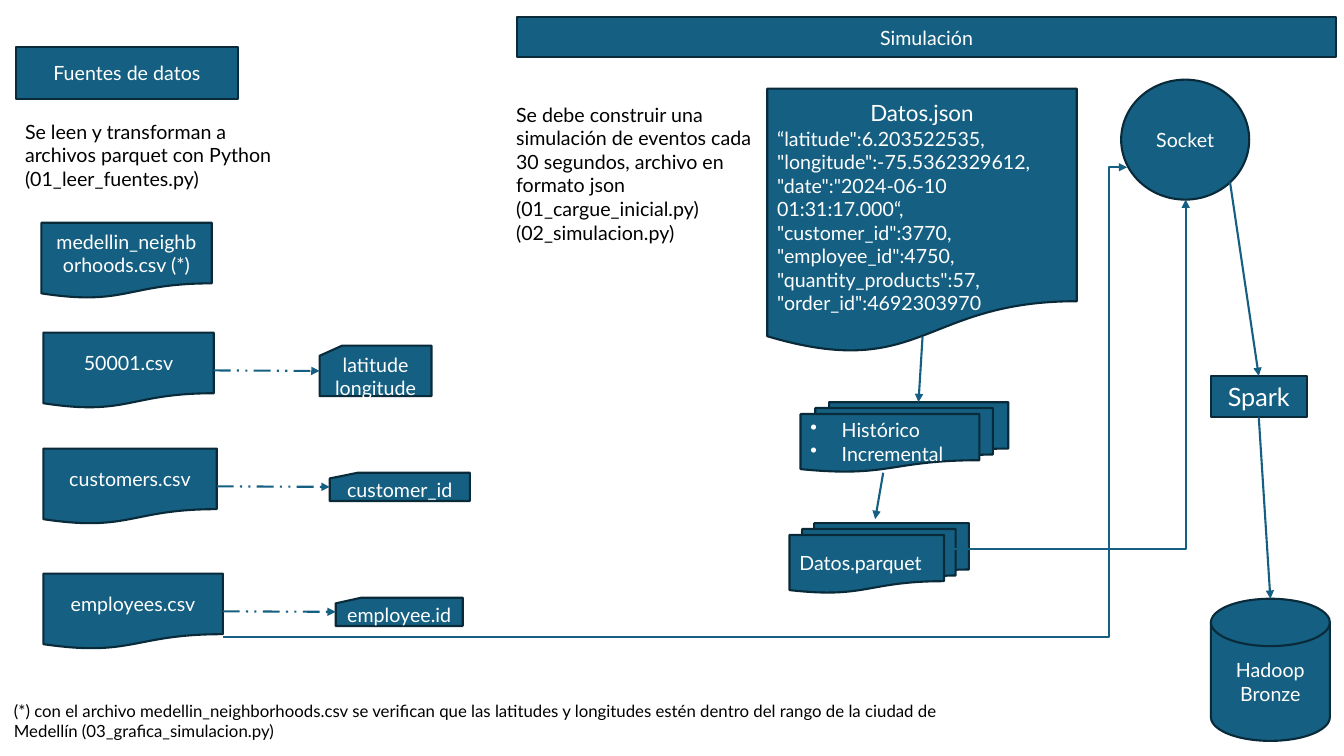
from dataclasses import dataclass

from lxml import etree
from pptx import Presentation
from pptx.dml.color import RGBColor
from pptx.enum import dml, shapes, text
from pptx.oxml import ns
from pptx.util import Inches, Pt

MSO = shapes.MSO_SHAPE
TOP, LEFT, BOTTOM, RIGHT = range(4)


@dataclass(frozen=True)
class Theme:
    font: str = "Lato"
    fill: RGBColor = RGBColor.from_string("156082")
    edge: RGBColor = RGBColor.from_string("092A39")
    light: RGBColor = RGBColor.from_string("FFFFFF")
    dark: RGBColor = RGBColor.from_string("000000")
    note: int = 12
    body: int = 14
    title: int = 16
    large: int = 18
    line: float = 1.5


THEME = Theme()


def write(p, content, size=THEME.body, color=THEME.light, center=False, bullet=False):
    p.alignment = text.PP_ALIGN.CENTER if center else text.PP_ALIGN.LEFT
    r = p.add_run()
    r.text = content
    r.font.name = THEME.font
    r.font.size = Pt(size)
    r.font.color.rgb = color
    if bullet:
        props = p._p.get_or_add_pPr()
        props.set("marL", str(Inches(0.31)))
        props.set("indent", str(-Inches(0.31)))
        etree.SubElement(props, ns.qn("a:buChar"), char="•")


def write_lines(tf, lines, **style):
    for i, line in enumerate(lines):
        write(tf.paragraphs[0] if i == 0 else tf.add_paragraph(), line, **style)


def add_node(s, kind, box, *lines, **style):
    sp = s.shapes.add_shape(kind, *map(Inches, box))
    sp.shadow.inherit = False
    sp.fill.solid()
    sp.fill.fore_color.rgb = THEME.fill
    sp.line.color.rgb = THEME.edge
    sp.line.width = Pt(THEME.line)
    sp.text_frame.vertical_anchor = text.MSO_ANCHOR.MIDDLE
    write_lines(sp.text_frame, lines, **{"center": True, **style})
    return sp


def add_text(s, box, *lines, size=THEME.body):
    tf = s.shapes.add_textbox(*map(Inches, box)).text_frame
    tf.word_wrap = True
    write_lines(tf, lines, size=size, color=THEME.dark)


def add_arrow(s, start, end, begin=None, finish=None, dashed=False,
              kind=shapes.MSO_CONNECTOR.STRAIGHT):
    """Draw an arrow; begin and finish are optional (shape, side) joints."""
    c = s.shapes.add_connector(kind, *map(Inches, (*start, *end)))
    if begin:
        c.begin_connect(*begin)
    if finish:
        c.end_connect(*finish)
    c.line.color.rgb = THEME.fill
    c.line.width = Pt(THEME.line)
    if dashed:
        c.line.dash_style = dml.MSO_LINE.DASH_DOT_DOT
    etree.SubElement(c.line._get_or_add_ln(), ns.qn("a:tailEnd"), type="triangle")
    etree.SubElement(c._element.spPr, ns.qn("a:effectLst"))
    return c


def add_elbow(s, start, end, turn=None):
    """Bend once at a right angle, or twice at the fraction turn of the width."""
    c = add_arrow(s, start, end, kind=shapes.MSO_CONNECTOR.ELBOW)
    geom = c._element.spPr.find(ns.qn("a:prstGeom"))
    if turn is None:
        geom.set("prst", "bentConnector2")
    else:
        guides = geom.find(ns.qn("a:avLst"))
        etree.SubElement(guides, ns.qn("a:gd"), name="adj1",
                         fmla=f"val {round(turn * 100000)}")


def add_sources(s):
    add_node(s, MSO.FLOWCHART_PROCESS, (0.16, 0.47, 2.2, 0.51), "Fuentes de datos")
    add_text(s, (0.15, 1.14, 2.7, 1.04),
             "Se leen y transforman a archivos parquet con Python (01_leer_fuentes.py)")
    add_node(s, MSO.FLOWCHART_DOCUMENT, (0.41, 2.21, 1.69, 0.75),
             "medellin_neighborhoods.csv (*)")
    files = [
        ("50001.csv", 3.3, 1.69, "latitude longitude", (3.17, 3.43, 1.11, 0.5)),
        ("customers.csv", 4.45, 1.72, "customer_id", (3.27, 4.69, 1.39, 0.28)),
        ("employees.csv", 5.69, 1.78, "employee.id", (3.33, 5.93, 1.26, 0.28)),
    ]
    for name, top, width, field, field_box in files:
        source = add_node(s, MSO.FLOWCHART_DOCUMENT, (0.43, top, width, 0.75), name)
        card = add_node(s, MSO.FLOWCHART_CARD, field_box, field)
        middle = top + 0.38
        add_arrow(s, (0.43 + width, middle), (field_box[0], middle),
                  begin=(source, RIGHT), finish=(card, LEFT), dashed=True)
    add_text(s, (0.04, 6.9, 9.96, 0.5),
             "(*) con el archivo medellin_neighborhoods.csv se verifican que las latitudes y "
             "longitudes estén dentro del rango de la ciudad de Medellín "
             "(03_grafica_simulacion.py)", size=THEME.note)


def add_simulation(s):
    add_node(s, MSO.FLOWCHART_PROCESS, (5.13, 0.17, 8.12, 0.4), "Simulación")
    add_text(s, (5.02, 0.97, 2.55, 1.51),
             "Se debe construir una simulación de eventos cada 30 segundos, "
             "archivo en formato json",
             "(01_cargue_inicial.py)", "(02_simulacion.py)")
    event = add_node(s, MSO.FLOWCHART_DOCUMENT, (7.61, 0.88, 3.07, 2.63),
                     "Datos.json", size=THEME.title)
    event.text_frame.margin_top = Inches(0.29)
    for field in ('“latitude":6.203522535,', '"longitude":-75.5362329612,',
                  '"date":"2024-06-10 01:31:17.000“,', '"customer_id":3770,',
                  '"employee_id":4750,', '"quantity_products":57,',
                  '"order_id":4692303970'):
        write(event.text_frame.add_paragraph(), field)
    add_node(s, MSO.FLOWCHART_MULTIDOCUMENT, (7.94, 3.99, 2.06, 0.69),
             "Histórico", "Incremental", center=False, bullet=True)
    add_node(s, MSO.FLOWCHART_MULTIDOCUMENT, (7.83, 5.19, 1.78, 0.69),
             "Datos.parquet", center=False)
    add_arrow(s, (9.15, 3.34), (9.11, 3.99))
    add_arrow(s, (8.76, 4.69), (8.68, 5.15))


def add_streaming(s):
    add_node(s, MSO.FLOWCHART_CONNECTOR, (11.12, 0.79, 1.27, 1.19), "Socket")
    spark = add_node(s, MSO.RECTANGLE, (12.01, 3.73, 0.95, 0.41), "Spark",
                     size=THEME.large)
    add_node(s, MSO.FLOWCHART_MAGNETIC_DISK, (12.01, 5.94, 1.18, 1.41), "Hadoop Bronze")
    add_elbow(s, (2.21, 6.32), (11.18, 1.66), turn=0.98)
    add_elbow(s, (9.45, 5.45), (11.76, 1.98))
    add_arrow(s, (12.2, 1.81), (12.49, 3.73), finish=(spark, TOP))
    add_arrow(s, (12.49, 4.14), (12.6, 5.94), begin=(spark, BOTTOM))


def main():
    prs = Presentation()
    prs.slide_width, prs.slide_height = Inches(13.33), Inches(7.5)
    s = prs.slides.add_slide(prs.slide_layouts[6])
    add_sources(s)
    add_simulation(s)
    add_streaming(s)
    prs.save("out.pptx")


if __name__ == "__main__":
    main()
